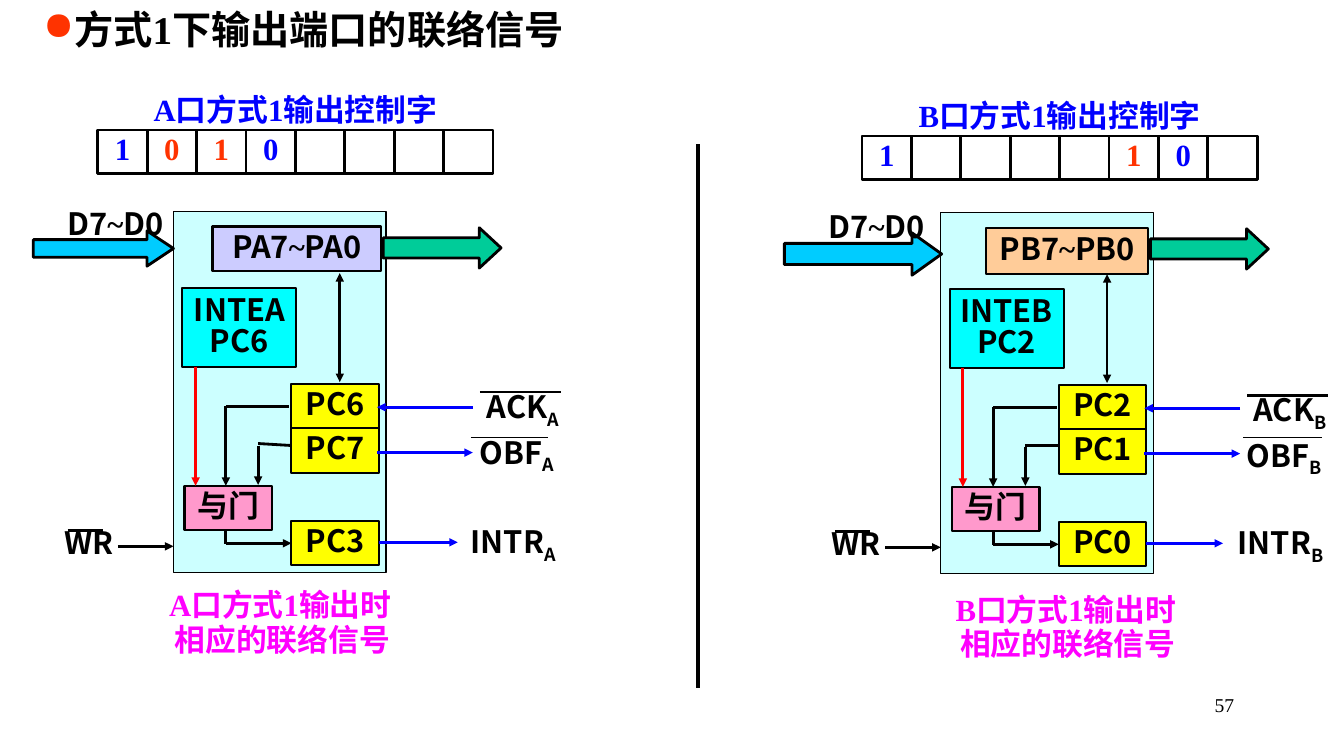
import pptx
import pptx.util
import pptx.dml.color
import pptx.enum.shapes
import pptx.enum.text
import pptx.oxml
import pptx.oxml.ns

PX = 9144
SANS, SERIF = "Noto Sans CJK SC", "Times New Roman"
BLACK, BLUE, RED, MAGENTA = "000000", "0000FF", "FF3300", "FF00FF"
CELL_PITCH, CELL_HEIGHT = 49, 43
ROW = 44
KIND = pptx.enum.shapes.MSO_SHAPE
ALIGN = pptx.enum.text.PP_ALIGN
ANCHOR = pptx.enum.text.MSO_ANCHOR

PORT_A = dict(
    letter="A", chip=(172, 210), register=(39, 15, 167, 44), register_fill="CCCCFF",
    register_line=2, enable="PC6", ack="PC6", obf="PC7", intr="PC3", slant=2,
    intr_end=282, drop=0, obf_bar=(295, 372, 224), bus=(-139, 19, 139, 35),
    bus_head=0.75, bus_label=(-116, -7))
PORT_B = dict(
    letter="B", chip=(933, 211), register=(45, 15, 161, 46), register_fill="FFCC99",
    register_line=1.5, enable="PC2", ack="PC2", obf="PC1", intr="PC0", slant=0,
    intr_end=280, drop=2, obf_bar=(300, 378, 223), bus=(-155, 20, 156, 42),
    bus_head=0.7, bus_label=(-122, -5))


def color(value):
    return pptx.dml.color.RGBColor.from_string(value)


def px(*lengths):
    return [length * PX for length in lengths]


def child(parent, tag, **attributes):
    element = pptx.oxml.ns.qn(tag)
    node = parent.makeelement(element, attributes)
    parent.append(node)
    return node


def write(shape, lines, size=22, font=SANS, ink=BLACK, bold=True, align=ALIGN.CENTER,
          anchor=ANCHOR.MIDDLE, inset=(0, 0), spacing=0.83, bullet=None):
    frame = shape.text_frame
    frame.word_wrap = False
    frame.vertical_anchor = anchor
    frame.margin_left = frame.margin_right = inset[0] * PX
    frame.margin_top = frame.margin_bottom = inset[1] * PX
    for index, runs in enumerate(lines):
        paragraph = frame.add_paragraph() if index else frame.paragraphs[0]
        paragraph.alignment = align
        paragraph.line_spacing = spacing
        if bullet:
            properties = paragraph._p.get_or_add_pPr()
            child(child(properties, "a:buClr"), "a:srgbClr", val=bullet)
            child(properties, "a:buChar", char="●")
        paragraph.font.size = pptx.util.Pt(size)
        paragraph.font.bold = bold
        paragraph.font.name = font
        paragraph.font.color.rgb = color(ink)
        child(paragraph.font._element, "a:ea", typeface=SANS)
        for text, style in runs:
            run = paragraph.add_run()
            run.text = text
            if style == "serif":
                run.font.name = SERIF
            elif style == "sub":
                run.font._element.set("baseline", "-25000")


def plain(*texts):
    return [[(text, "")] for text in texts]


def span(start, end):
    return [[(start, ""), ("~", "serif"), (end, "")]]


def label(slide, box, lines, **style):
    write(slide.shapes.add_textbox(*px(*box)), lines, **style)


def block(slide, box, fill=None, line=1.5, lines=(), kind=KIND.RECTANGLE, head=None, **style):
    shape = slide.shapes.add_shape(kind, *px(*box))
    shape.shadow.inherit = False
    if fill:
        shape.fill.solid()
        shape.fill.fore_color.rgb = color(fill)
    else:
        shape.fill.background()
    shape.line.color.rgb = color(BLACK)
    shape.line.width = pptx.util.Pt(line)
    if head:
        shape.adjustments[0], shape.adjustments[1] = 0.5, head
    if lines:
        write(shape, lines, **style)


def wire(slide, x1, y1, x2, y2, ink=BLACK, width=2, ends=()):
    connector = slide.shapes.add_connector(
        pptx.enum.shapes.MSO_CONNECTOR.STRAIGHT, *px(x1, y1, x2, y2))
    connector.line.color.rgb = color(ink)
    connector.line.width = pptx.util.Pt(width)
    for end in ends:
        child(connector.line._get_or_add_ln(), "a:" + end, type="triangle")
    child(connector._element.spPr, "a:effectLst")


def control_word(slide, letter, x, y, bits):
    label(slide, (x - 19, y - 40, 430, ROW), plain(f"{letter}口方式1输出控制字"),
          font=SERIF, ink=BLUE)
    for position in range(8):
        bit, ink = bits.get(position, ("", BLUE))
        block(slide, (x + position * CELL_PITCH, y, CELL_PITCH, CELL_HEIGHT), line=2,
              lines=plain(bit) if bit else (), font=SERIF, ink=ink)


def caption(slide, letter, x, y):
    label(slide, (x, y, 326, ROW), plain(f"{letter}口方式1输出时"), font=SERIF, ink=MAGENTA)
    label(slide, (x - 13, y + 34, 356, ROW), plain("相应的联络信号"), font=SERIF, ink=MAGENTA)


def port_diagram(slide, port):
    left, top = port["chip"]
    letter, drop = port["letter"], port["drop"]

    def place(x, y, *size):
        return (left + x, top + y, *size)

    def link(x1, y1, x2, y2, **style):
        wire(slide, *place(x1, y1), *place(x2, y2), **style)

    def signal(name, x, y, width):
        label(slide, place(x, y, width, ROW), [[(name, ""), (letter, "sub")]])

    arrow = ("tailEnd",)
    block(slide, place(0, 0, 211, 358), "CCFFFF", 1)
    block(slide, place(*port["register"]), port["register_fill"], port["register_line"],
          span(f"P{letter}7", f"P{letter}0"))
    for pin, y in (("ack", 171), ("obf", 215), ("intr", 307)):
        block(slide, place(117, y, 87, ROW), "FFFF00", lines=plain(port[pin]))
    block(slide, place(9, 76, 113, 78), "00FFFF", lines=plain("INTE" + letter, port["enable"]))
    block(slide, place(11, 272, 87, ROW), "FF99CC", lines=plain("与门"))

    link(165, 61, 165, 169, ends=("headEnd", "tailEnd"))
    link(22, 154, 22, 272, ink="FF0000", ends=arrow)
    link(52, 193, 115, 193)
    link(52, 193, 52, 272, ends=arrow)
    link(84, 231 - port["slant"] // 2, 117, 231 + port["slant"] // 2)
    link(84, 232, 84, 271, ends=arrow)
    link(52, 316, 52, 330)
    link(52, 329, 117, 329, ends=arrow)
    link(297, 194, 202, 194, ink=BLUE, ends=arrow)
    link(202, 239, 297, 239, ink=BLUE, ends=arrow)
    link(204, 328, port["intr_end"], 328, ink=BLUE, ends=arrow)
    link(-55, 332, 0, 332, ends=arrow)

    signal("OBF", 287, 218 + drop, 107)
    signal("ACK", 293, 173 + drop, 107)
    signal("INTR", 274, 307, 126)
    label(slide, place(-111, 309, 54, ROW), plain("WR"))
    link(304, 179 + drop, 384, 179 + drop)
    link(-105, 316, -70, 316)
    bar_start, bar_end, bar_y = port["obf_bar"]
    link(bar_start, bar_y, bar_end, bar_y, width=0.75)

    block(slide, place(*port["bus"]), "00CCFF", 2, kind=KIND.RIGHT_ARROW, head=port["bus_head"])
    block(slide, place(208, 16, 117, 40), "00CC99", 2, kind=KIND.RIGHT_ARROW, head=0.54)
    label(slide, place(*port["bus_label"], 117, ROW), span("D7", "D0"))


def main():
    deck = pptx.Presentation()
    deck.slide_width, deck.slide_height = px(1333, 750)
    slide = deck.slides.add_slide(deck.slide_layouts[6])

    label(slide, (33, 8, 833, 57), plain("方式1下输出端口的联络信号"), size=28, font=SERIF,
          align=ALIGN.LEFT, anchor=ANCHOR.TOP, inset=(10, 5), bullet=RED)
    label(slide, (956, 683, 278, 50), plain("57"), size=14, font=SERIF, bold=False,
          align=ALIGN.RIGHT, anchor=ANCHOR.TOP, inset=(10, 5), spacing=1.0)
    wire(slide, 692, 143, 692, 683, width=3)

    control_word(slide, "A", 97, 129,
                 {0: ("1", BLUE), 1: ("0", RED), 2: ("1", RED), 3: ("0", BLUE)})
    control_word(slide, "B", 855, 135, {0: ("1", BLUE), 5: ("1", RED), 6: ("0", BLUE)})
    caption(slide, "A", 115, 581)
    caption(slide, "B", 894, 585)
    for port in (PORT_A, PORT_B):
        port_diagram(slide, port)

    deck.save("out.pptx")


if __name__ == "__main__":
    main()
